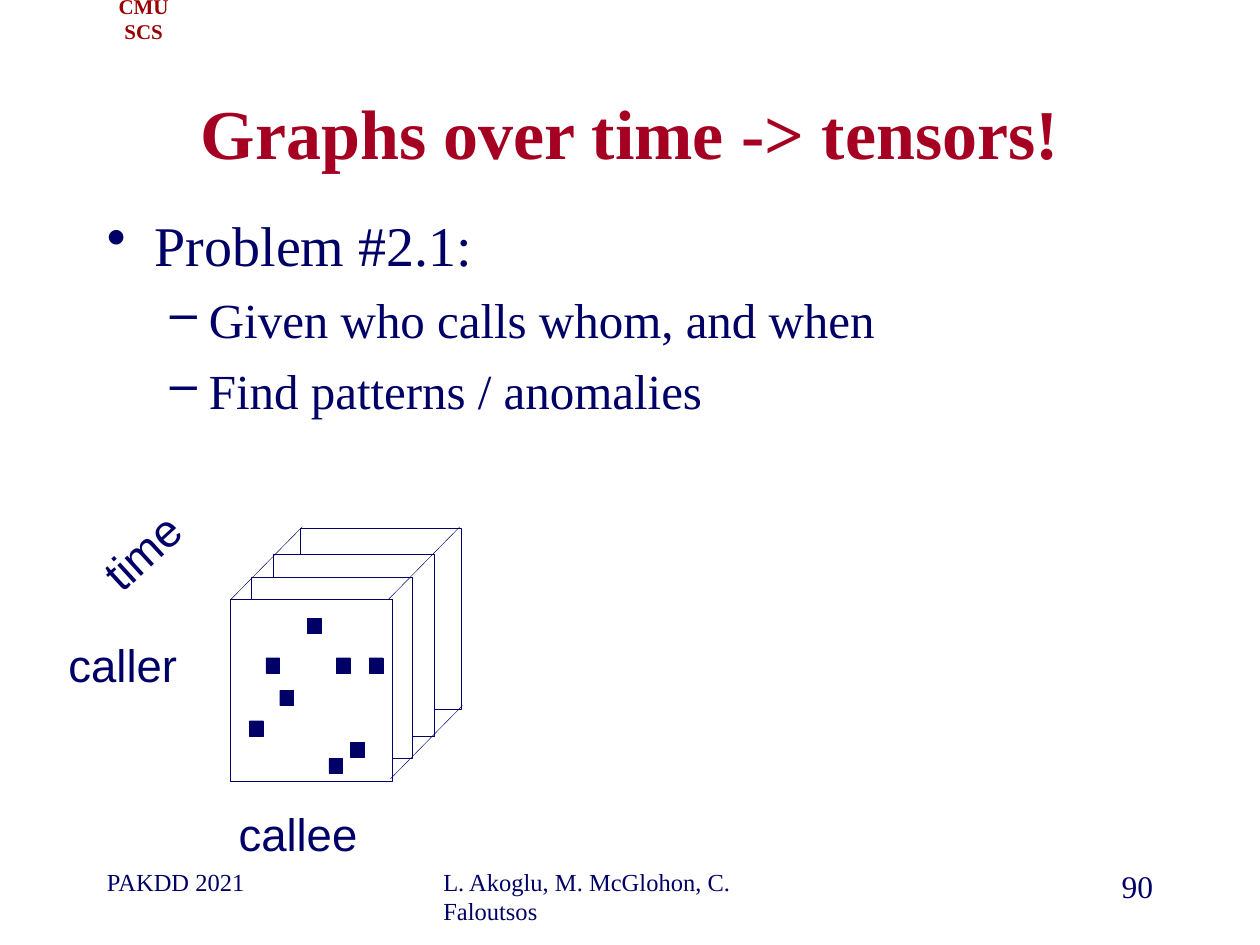
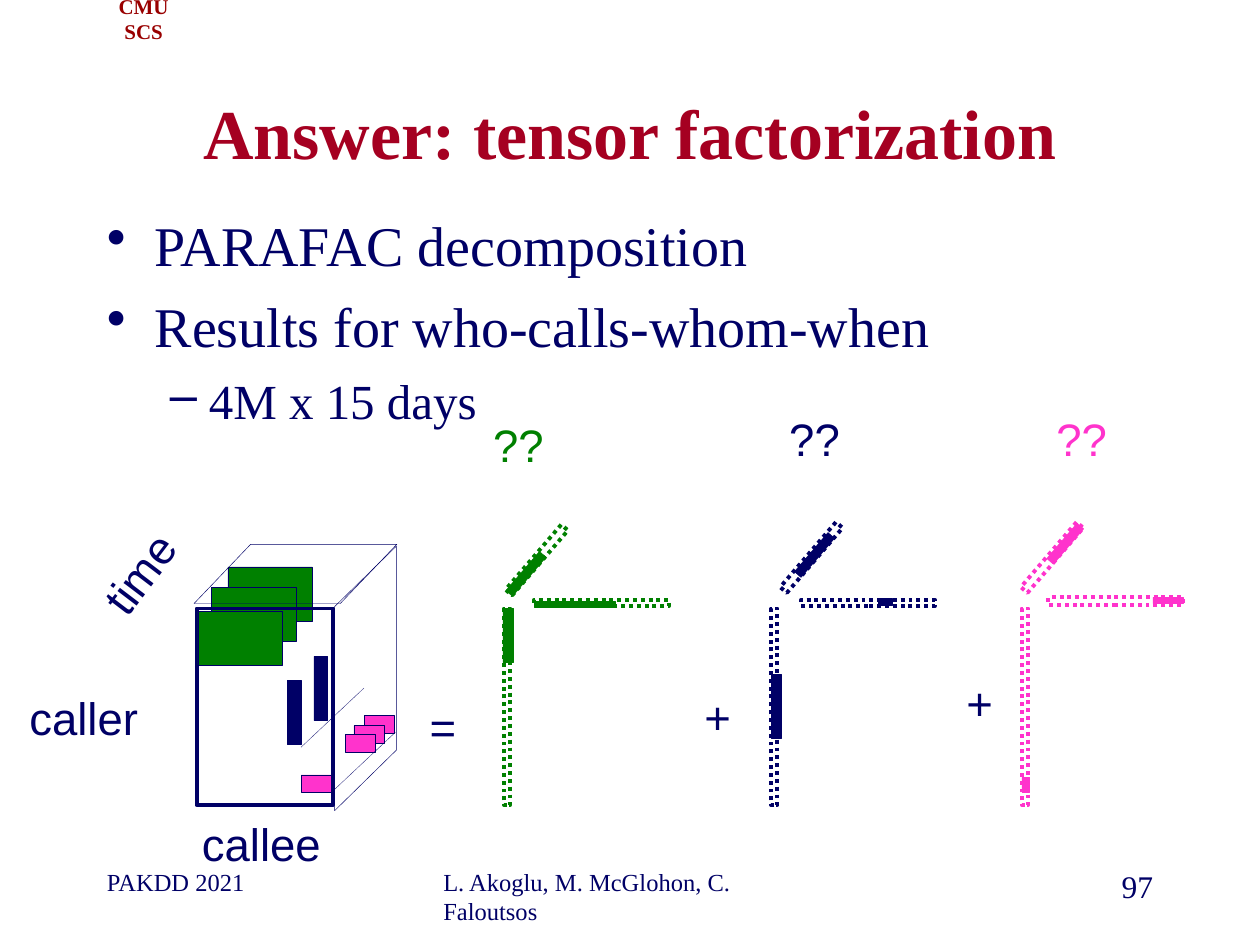
from lxml.etree import SubElement
from pptx import Presentation
from pptx.dml.color import RGBColor
from pptx.enum.dml import MSO_LINE
from pptx.enum.shapes import MSO_CONNECTOR, MSO_SHAPE
from pptx.enum.text import MSO_ANCHOR as Anchor, PP_ALIGN as Align
from pptx.oxml.ns import qn
from pptx.util import Inches, Pt

# Shared style
NAVY, CRIMSON, MAROON = "000066", "A50021", "990000"
GREEN, PINK, WHITE = "008000", "FF33CC", "FFFFFF"
SERIF, SANS = "Times New Roman", "Arial"
HAIRLINE, OUTLINE = 0.25, 2.25
TITLE_ONLY = 5
# Per level: bullet, size, left margin, hanging indent, space before
LEVELS = [("•", 32, 0.38, 0.38, 8), ("–", 28, 0.81, 0.31, 7)]


def rgb(value):
    return RGBColor.from_string(value)


def style(paragraph, size, color=NAVY, face=SERIF, bold=False, align=Align.LEFT):
    paragraph.alignment = align
    font = paragraph.font
    font.size, font.name, font.bold = Pt(size), face, bold
    font.color.rgb = rgb(color)


def add_text(slide, box, text, size, wrap=True, anchor=Anchor.TOP, **look):
    holder = slide.shapes.add_textbox(*map(Inches, box))
    frame = holder.text_frame
    frame.word_wrap, frame.vertical_anchor = wrap, anchor
    frame.text = text
    style(frame.paragraphs[0], size, **look)
    return holder


def add_label(slide, box, text, color=NAVY, rotation=0):
    label = add_text(slide, box, text, 26, wrap=False, color=color,
                     face=SANS, align=Align.CENTER)
    label.rotation = rotation


def add_box(slide, box, fill=None, line=NAVY, width=HAIRLINE, dash=None,
            rotation=0, preset=MSO_SHAPE.RECTANGLE):
    shape = slide.shapes.add_shape(preset, *map(Inches, box))
    shape.shadow.inherit = False
    if fill:
        shape.fill.solid()
        shape.fill.fore_color.rgb = rgb(fill)
    else:
        shape.fill.background()
    shape.line.color.rgb = rgb(line)
    shape.line.width = Pt(width)
    if dash:
        shape.line.dash_style = dash
    shape.rotation = rotation
    return shape


def add_edge(slide, start, end, dash=None):
    edge = slide.shapes.add_connector(MSO_CONNECTOR.STRAIGHT,
                                      *map(Inches, (*start, *end)))
    edge.line.color.rgb = rgb(NAVY)
    edge.line.width = Pt(HAIRLINE)
    if dash:
        edge.line.dash_style = dash
    SubElement(edge._element.spPr, qn("a:effectLst"))


def add_bullets(slide, box, items):
    holder = slide.shapes.add_textbox(*map(Inches, box))
    frame = holder.text_frame
    frame.word_wrap = True
    for index, (level, text) in enumerate(items):
        bullet, size, margin, hanging, gap = LEVELS[level]
        paragraph = frame.add_paragraph() if index else frame.paragraphs[0]
        paragraph.text, paragraph.level = text, level
        properties = paragraph._p.get_or_add_pPr()
        properties.set("marL", str(Inches(margin)))
        properties.set("indent", str(-Inches(hanging)))
        SubElement(properties, qn("a:buChar"), char=bullet)
        if index:
            paragraph.space_before = Pt(gap)
        style(paragraph, size)


def add_base_slide(deck, title, number, bullets):
    """Header, title, bullets and footer."""
    slide = deck.slides.add_slide(deck.slide_layouts[TITLE_ONLY])
    add_text(slide, (0.67, 0, 0.94, 0.3), "CMU SCS", 12, wrap=False,
             anchor=Anchor.MIDDLE, color=MAROON, bold=True, align=Align.CENTER)

    heading = slide.shapes.title
    heading.left, heading.top, heading.width, heading.height = map(
        Inches, (0.75, 0.67, 8.5, 0.75))
    heading.text_frame.text = title
    heading.text_frame.vertical_anchor = Anchor.MIDDLE
    style(heading.text_frame.paragraphs[0], 40, CRIMSON, bold=True, align=Align.CENTER)

    add_bullets(slide, (0.75, 1.62, 8.5, 5.04), bullets)
    add_text(slide, (0.75, 6.83, 2.08, 0.5), "PAKDD 2021", 14)
    add_text(slide, (3.42, 6.83, 3.17, 0.5), "L. Akoglu, M. McGlohon, C. Faloutsos", 14)
    add_text(slide, (7.17, 6.83, 2.08, 0.5), str(number), 18, align=Align.RIGHT)
    return slide


def add_sliced_tensor(slide, left, top, width, height):
    """Stack of call matrices over time; left and top belong to the front one."""
    for dx, dy in [(0.55, -0.57), (0.34, -0.36), (0.16, -0.18), (0, 0)]:
        add_box(slide, (left + dx, top + dy, width, height), WHITE)

    # Time edges
    for dx, dy in [(0, 0), (1.25, 0), (1.27, 1.42)]:
        x, y = left + dx, top + dy
        add_edge(slide, (x, y), (x + 0.57, y - 0.58))

    # Calls in the front matrix
    calls = [(0.84, 0.46), (0.28, 0.46), (1.1, 0.46), (0.15, 0.96),
             (0.39, 0.72), (0.61, 0.15), (0.78, 1.26), (0.95, 1.13)]
    for dx, dy in calls:
        add_box(slide, (left + dx, top + dy, 0.11, 0.12), NAVY)


def add_block_tensor(slide, left, top, width, height):
    """Call cube with three dense blocks; left and top belong to its front face."""
    def blocks(size, color, offsets):
        for dx, dy in offsets:
            add_box(slide, (left + dx, top + dy, *size), color)

    pink_size, green_size, navy_size = (0.24, 0.14), (0.67, 0.43), (0.11, 0.51)
    blocks(pink_size, PINK, [(1.33, 0.85), (1.25, 0.93)])
    blocks(green_size, GREEN, [(0.25, -0.33), (0.12, -0.17)])
    add_box(slide, (left, top, width, height), width=OUTLINE)
    blocks(navy_size, NAVY, [(0.72, 0.57)])
    blocks(pink_size, PINK, [(0.83, 1.32)])

    # Top and right faces
    lid = add_box(slide, (left - 0.02, top - 0.51, 1.61, 0.47),
                  preset=MSO_SHAPE.PARALLELOGRAM)
    lid.adjustments[0] = 0.956
    side = add_box(slide, (left + 0.29, top + 0.31, 2.1, 0.49), rotation=90,
                   preset=MSO_SHAPE.PARALLELOGRAM)
    side.adjustments[0] = 0.98
    side._element.spPr.find(qn("a:xfrm")).set("flipV", "1")

    blocks(green_size, GREEN, [(0.01, 0.02)])
    blocks(pink_size, PINK, [(1.18, 1)])
    blocks(navy_size, NAVY, [(0.93, 0.38)])
    for dx, dy in [(1.08, 1.45), (0.83, 1.1)]:
        x, y = left + dx, top + dy
        add_edge(slide, (x, y), (x + 0.5, y - 0.47), MSO_LINE.ROUND_DOT)


def add_factor(slide, left, top, color, label, vectors):
    """Caller, callee and time vectors, each dotted with a solid active part."""
    def place(box):
        return (left + box[0], top + box[1], *box[2:])

    for vector, active, rotation in vectors:
        add_box(slide, place(vector), line=color, width=OUTLINE,
                dash=MSO_LINE.ROUND_DOT, rotation=rotation)
        add_box(slide, place(active), color, color, rotation=rotation)
    add_label(slide, place((*label, 0.61, 0.54)), "??", color)


def build_problem_slide(deck):
    slide = add_base_slide(deck, "Graphs over time -> tensors!", 90, [
        (0, "Problem #2.1:"),
        (1, "Given who calls whom, and when"),
        (1, "Find patterns / anomalies")])
    add_sliced_tensor(slide, 1.83, 4.76, 1.28, 1.44)
    add_label(slide, (1.79, 6.35, 1.15, 0.54), "callee")
    add_label(slide, (0.44, 5.01, 1.07, 0.54), "caller")
    add_label(slide, (0.68, 4.11, 0.89, 0.54), "time", rotation=317.5)


def build_answer_slide(deck):
    slide = add_base_slide(deck, "Answer: tensor factorization", 97, [
        (0, "PARAFAC decomposition"),
        (0, "Results for who-calls-whom-when"),
        (1, "4M x 15 days")])
    top, tilt = 4.83, 310.6
    caller = (0, 0, 0.05, 1.56)

    # Factors: left, colour, label offset, (vector, active part, rotation)
    factors = [
        (4, GREEN, (-0.19, -1.57), [
            (caller, (-0.01, 0, 0.08, 0.43), 0),
            ((0.24, -0.07, 1.07, 0.05), (0.24, -0.06, 0.64, 0.05), 0),
            ((-0.08, -0.42, 0.68, 0.07), (-0.03, -0.31, 0.41, 0.07), tilt)]),
        (6.12, NAVY, (0.04, -1.62), [
            (caller, (0, 0.52, 0.08, 0.51), 0),
            ((0.24, -0.07, 1.06, 0.05), (0.85, -0.08, 0.11, 0.05), 0),
            ((-0.02, -0.44, 0.68, 0.07), (0.14, -0.46, 0.41, 0.07), tilt)]),
        (8.11, PINK, (0.17, -1.62), [
            (caller, (0, 1.34, 0.06, 0.12), 0),
            ((0.21, -0.09, 1.07, 0.06), (1.04, -0.09, 0.24, 0.05), 0),
            ((-0.1, -0.44, 0.68, 0.07), (0.16, -0.55, 0.37, 0.07), tilt)]),
    ]
    for left, color, label, vectors in factors:
        add_factor(slide, left, top, color, label, vectors)

    # Equation signs
    for left, sign_top, sign in [(3.31, 5.5, "="), (5.49, 5.42, "+"), (7.57, 5.31, "+")]:
        add_label(slide, (left, sign_top, 0.41, 0.54), sign)

    # Tensor and its axes
    add_label(slide, (0.13, 5.43, 1.07, 0.54), "caller")
    add_label(slide, (1.5, 6.43, 1.15, 0.54), "callee")
    add_label(slide, (0.66, 4.28, 0.89, 0.54), "time", rotation=307.3)
    add_block_tensor(slide, 1.56, top, 1.08, 1.56)


def main():
    deck = Presentation()
    deck.slide_width, deck.slide_height = Inches(10), Inches(7.5)
    build_problem_slide(deck)
    build_answer_slide(deck)
    deck.save("out.pptx")


if __name__ == "__main__":
    main()
